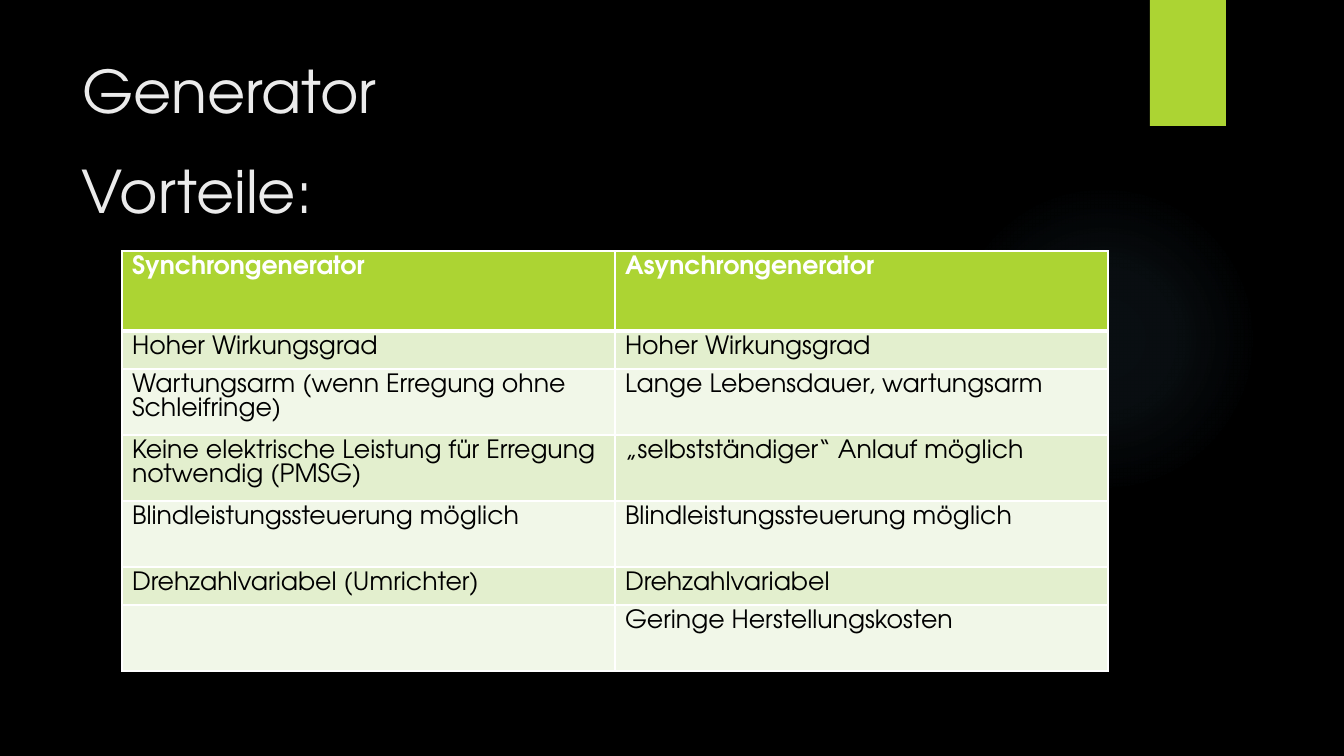
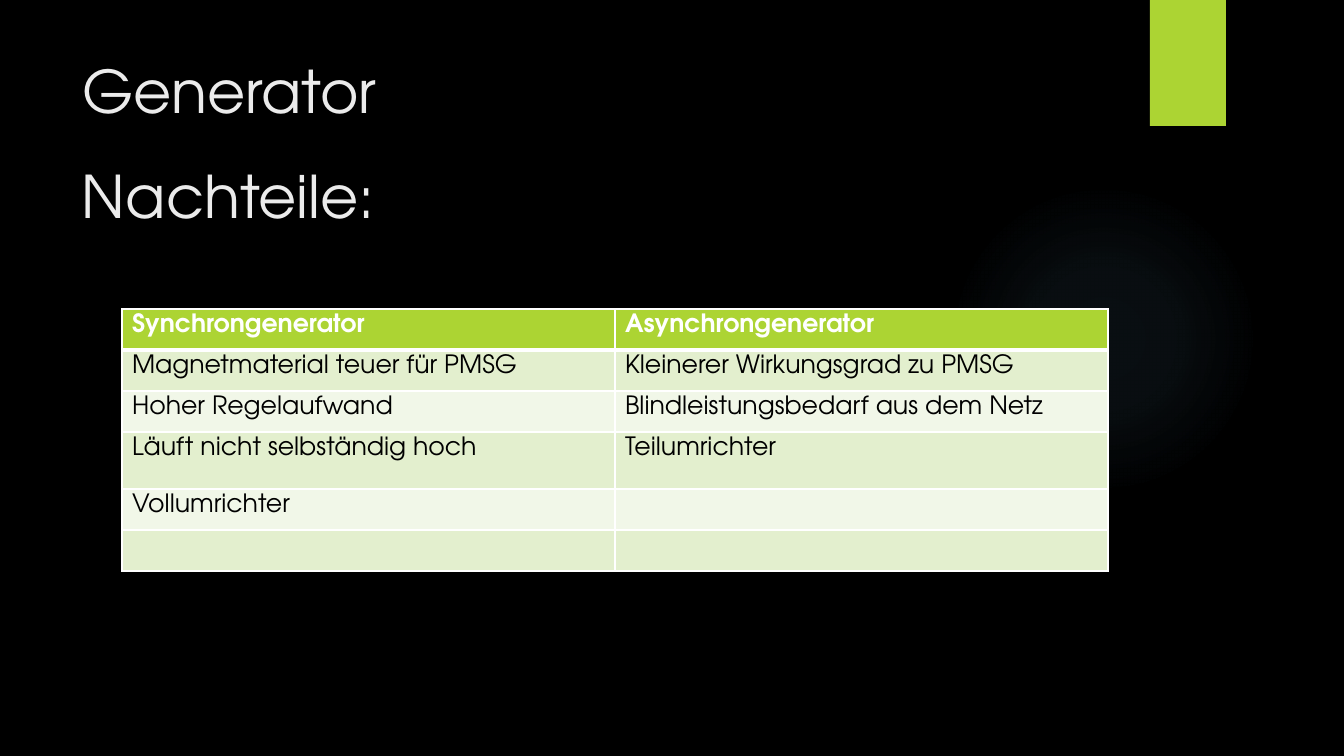
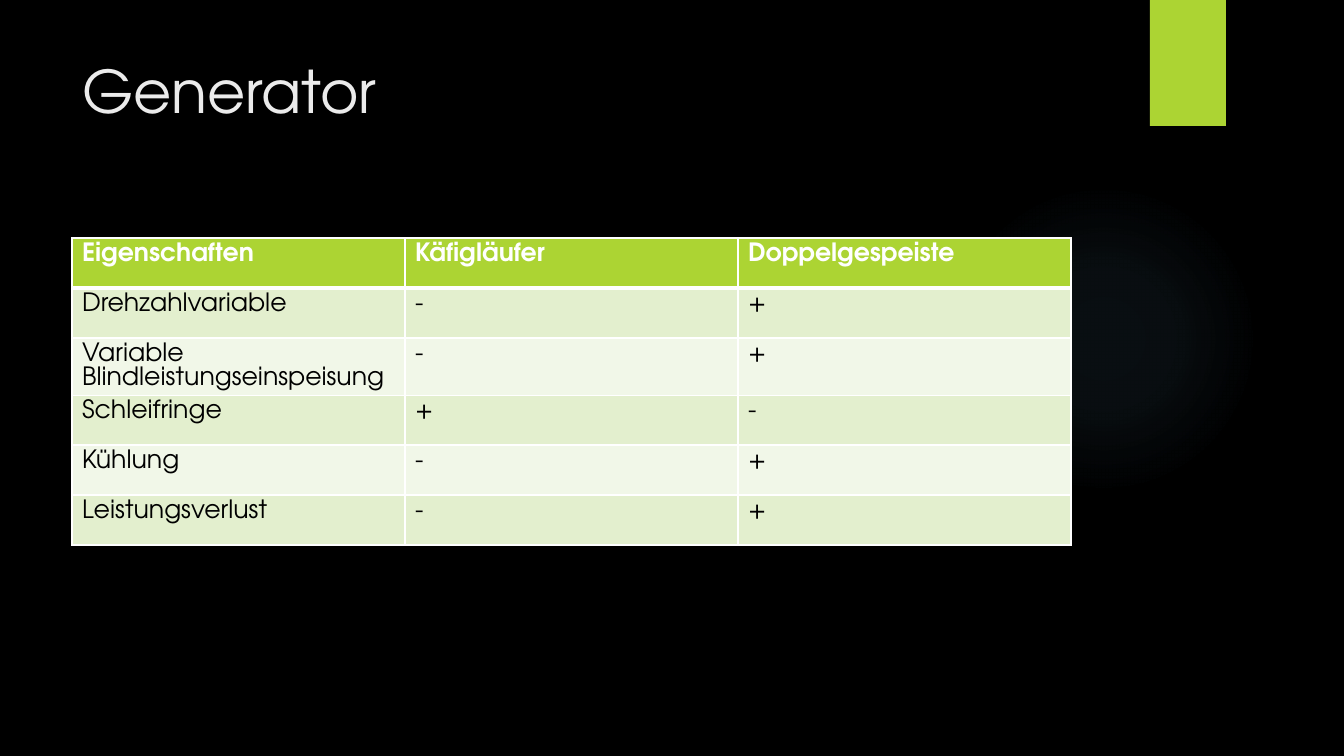
from dataclasses import dataclass

from lxml.etree import SubElement
from pptx import Presentation
from pptx.dml.color import RGBColor
from pptx.enum.shapes import MSO_SHAPE
from pptx.enum.text import MSO_ANCHOR, MSO_AUTO_SIZE, PP_ALIGN
from pptx.oxml import parse_xml
from pptx.oxml.ns import nsdecls, qn
from pptx.util import Emu, Pt

# Shared look
PAGE_WIDTH, PAGE_HEIGHT = 1344, 756
EMU_PER_PX = 12192000 / PAGE_WIDTH
FONT = "TeX Gyre Adventor"
BLACK, WHITE, HEADING = "000000", "FFFFFF", "EBEBEB"
GREEN, GLOW = "ACD433", "7AC4F0"
ROW_FILLS = ("F1F7E8", "E3EFCE")
HEADING_LEFT, HEADING_WIDTH, HEADING_HEIGHT = 72, 1037, 154
TITLE_TOP = 50
TITLE_ONLY_LAYOUT = 5


@dataclass(frozen=True)
class Grid:
    left: int
    top: int
    column_width: int
    row_heights: tuple[int, ...]
    rows: tuple[tuple[str, ...], ...]


@dataclass(frozen=True)
class Page:
    grid: Grid
    subtitle: str = ""
    subtitle_top: int = 0


GENERATORS = ("Synchrongenerator", "Asynchrongenerator")

PAGES = (
    Page(
        Grid(122, 251, 493, (80, 38, 66, 66, 66, 38, 66), (
            GENERATORS,
            ("Hoher Wirkungsgrad", "Hoher Wirkungsgrad"),
            ("Wartungsarm (wenn Erregung ohne Schleifringe)",
             "Lange Lebensdauer, wartungsarm"),
            ("Keine elektrische Leistung für Erregung notwendig (PMSG)",
             "„selbstständiger“ Anlauf möglich"),
            ("Blindleistungssteuerung möglich", "Blindleistungssteuerung möglich"),
            ("Drehzahlvariabel (Umrichter)", "Drehzahlvariabel"),
            ("", "Geringe Herstellungskosten"),
        )),
        "Vorteile:", 150,
    ),
    Page(
        Grid(122, 309, 493, (41, 41, 41, 57, 41, 41), (
            GENERATORS,
            ("Magnetmaterial teuer für PMSG", "Kleinerer Wirkungsgrad zu PMSG"),
            ("Hoher Regelaufwand", "Blindleistungsbedarf aus dem Netz"),
            ("Läuft nicht selbständig hoch", "Teilumrichter"),
            ("Vollumrichter", ""),
            ("", ""),
        )),
        "Nachteile:", 155,
    ),
    Page(
        Grid(72, 238, 333, (50, 50, 57, 50, 50, 50), (
            ("Eigenschaften", "Käfigläufer", "Doppelgespeiste"),
            ("Drehzahlvariable", "-", "+"),
            ("Variable Blindleistungseinspeisung", "-", "+"),
            ("Schleifringe", "+", "-"),
            ("Kühlung", "-", "+"),
            ("Leistungsverlust", "-", "+"),
        )),
    ),
)


def px(length: float) -> Emu:
    return Emu(round(length * EMU_PER_PX))


def color(value: str) -> RGBColor:
    return RGBColor.from_string(value)


def style_paragraph(para, size: int, value: str, bold: bool = False) -> None:
    para.alignment = PP_ALIGN.LEFT
    font = para.font
    font.name, font.size, font.bold = FONT, Pt(size), bold
    font.color.rgb = color(value)


# Master background, glow and band
def add_plain_shape(slide, kind, left: int, top: int, width: int, height: int):
    shape = slide.shapes.add_shape(kind, px(left), px(top), px(width), px(height))
    shape.shadow.inherit = False
    shape.line.fill.background()
    return shape


def add_glow(slide):
    glow = add_plain_shape(slide, MSO_SHAPE.OVAL, 949, 184, 310, 310)
    stops = "".join(
        f'<a:gs pos="{position * 1000}"><a:srgbClr val="{GLOW}">'
        f'<a:alpha val="{alpha * 1000}"/></a:srgbClr></a:gs>'
        for position, alpha in ((0, 7), (36, 6), (69, 0))
    )
    gradient = parse_xml(
        f'<a:gradFill {nsdecls("a")} rotWithShape="1"><a:gsLst>{stops}</a:gsLst>'
        '<a:path path="circle"><a:fillToRect l="50000" t="50000" r="50000" b="50000"/>'
        '</a:path></a:gradFill>'
    )
    glow.element.spPr.find(qn("a:prstGeom")).addnext(gradient)
    return glow


def add_band(slide):
    band = add_plain_shape(slide, MSO_SHAPE.RECTANGLE, 1150, 0, 76, 126)
    band.fill.solid()
    band.fill.fore_color.rgb = color(GREEN)
    effects = band.element.spPr.find(qn("a:effectLst"))
    effects.append(parse_xml(
        f'<a:outerShdw {nsdecls("a")} blurRad="{Pt(3)}" dist="{Pt(2)}" dir="5400000" '
        f'rotWithShape="0"><a:srgbClr val="{BLACK}"><a:alpha val="45000"/></a:srgbClr>'
        '</a:outerShdw>'
    ))
    return band


def decorate_layout(layout, slide) -> None:
    """Draw the shared shapes on a slide, then move them behind the layout's title."""
    tree = layout.shapes.element
    for holder in list(layout.placeholders):
        if holder.placeholder_format.idx != 0:
            tree.remove(holder.element)
    shapes = [add_glow(slide), add_band(slide)]
    for index, shape in enumerate(shapes, start=2):
        tree.insert(index, shape.element)


# Headings and tables
def set_heading(box, text: str, top: int) -> None:
    box.left, box.top = px(HEADING_LEFT), px(top)
    box.width, box.height = px(HEADING_WIDTH), px(HEADING_HEIGHT)
    frame = box.text_frame
    frame.word_wrap = True
    frame.auto_size = MSO_AUTO_SIZE.NONE
    frame.vertical_anchor = MSO_ANCHOR.TOP
    frame.text = text
    style_paragraph(frame.paragraphs[0], 42, HEADING)


def set_borders(cell, top: int, bottom: int) -> None:
    properties = cell._tc.get_or_add_tcPr()
    for side, width in (("L", 1), ("R", 1), ("T", top), ("B", bottom)):
        line = SubElement(properties, qn(f"a:ln{side}"), w=str(Pt(width)))
        fill = SubElement(line, qn("a:solidFill"))
        SubElement(fill, qn("a:srgbClr"), val=WHITE)


def add_grid(slide, grid: Grid) -> None:
    columns = len(grid.rows[0])
    table = slide.shapes.add_table(
        len(grid.rows), columns, px(grid.left), px(grid.top),
        px(columns * grid.column_width), px(sum(grid.row_heights)),
    ).table
    for column in table.columns:
        column.width = px(grid.column_width)
    for row_index, texts in enumerate(grid.rows):
        header = row_index == 0
        table.rows[row_index].height = px(grid.row_heights[row_index])
        for column_index, text in enumerate(texts):
            cell = table.cell(row_index, column_index)
            set_borders(cell, 3 if row_index == 1 else 1, 3 if header else 1)
            cell.fill.solid()
            cell.fill.fore_color.rgb = color(GREEN if header else ROW_FILLS[row_index % 2])
            cell.text = text
            para = cell.text_frame.paragraphs[0]
            para.line_spacing = Pt(16.8)
            style_paragraph(para, 18, WHITE if header else BLACK, header)


def add_page(slide, page: Page) -> None:
    set_heading(slide.shapes.title, "Generator", TITLE_TOP)
    add_grid(slide, page.grid)
    if page.subtitle:
        box = slide.shapes.add_textbox(0, 0, 0, 0)
        set_heading(box, page.subtitle, page.subtitle_top)


def main() -> None:
    deck = Presentation()
    deck.slide_width, deck.slide_height = px(PAGE_WIDTH), px(PAGE_HEIGHT)
    background = deck.slide_master.background.fill
    background.solid()
    background.fore_color.rgb = color(BLACK)
    layout = deck.slide_layouts[TITLE_ONLY_LAYOUT]
    slides = [deck.slides.add_slide(layout) for _ in PAGES]
    decorate_layout(layout, slides[0])
    for slide, page in zip(slides, PAGES):
        add_page(slide, page)
    deck.save("out.pptx")


if __name__ == "__main__":
    main()
